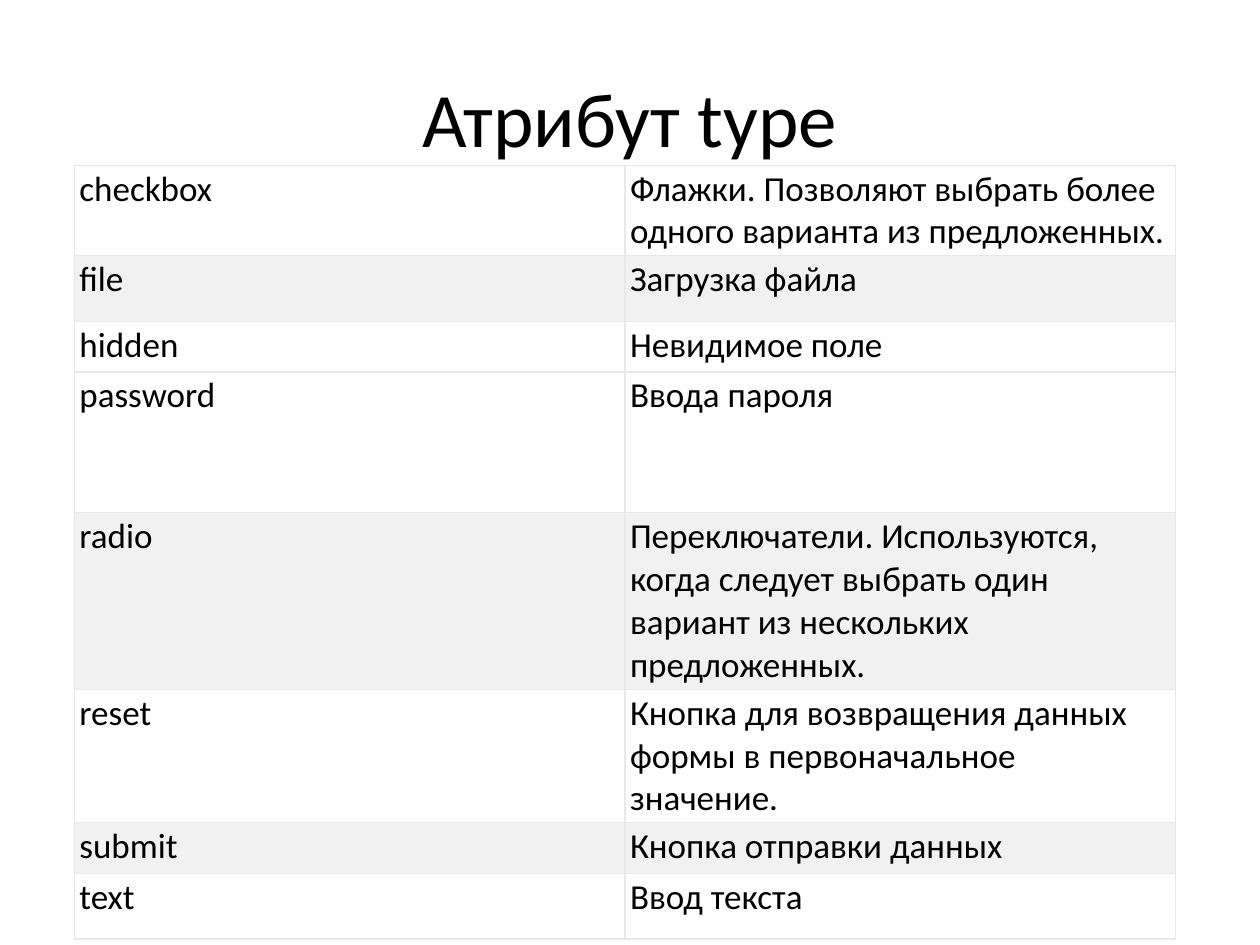
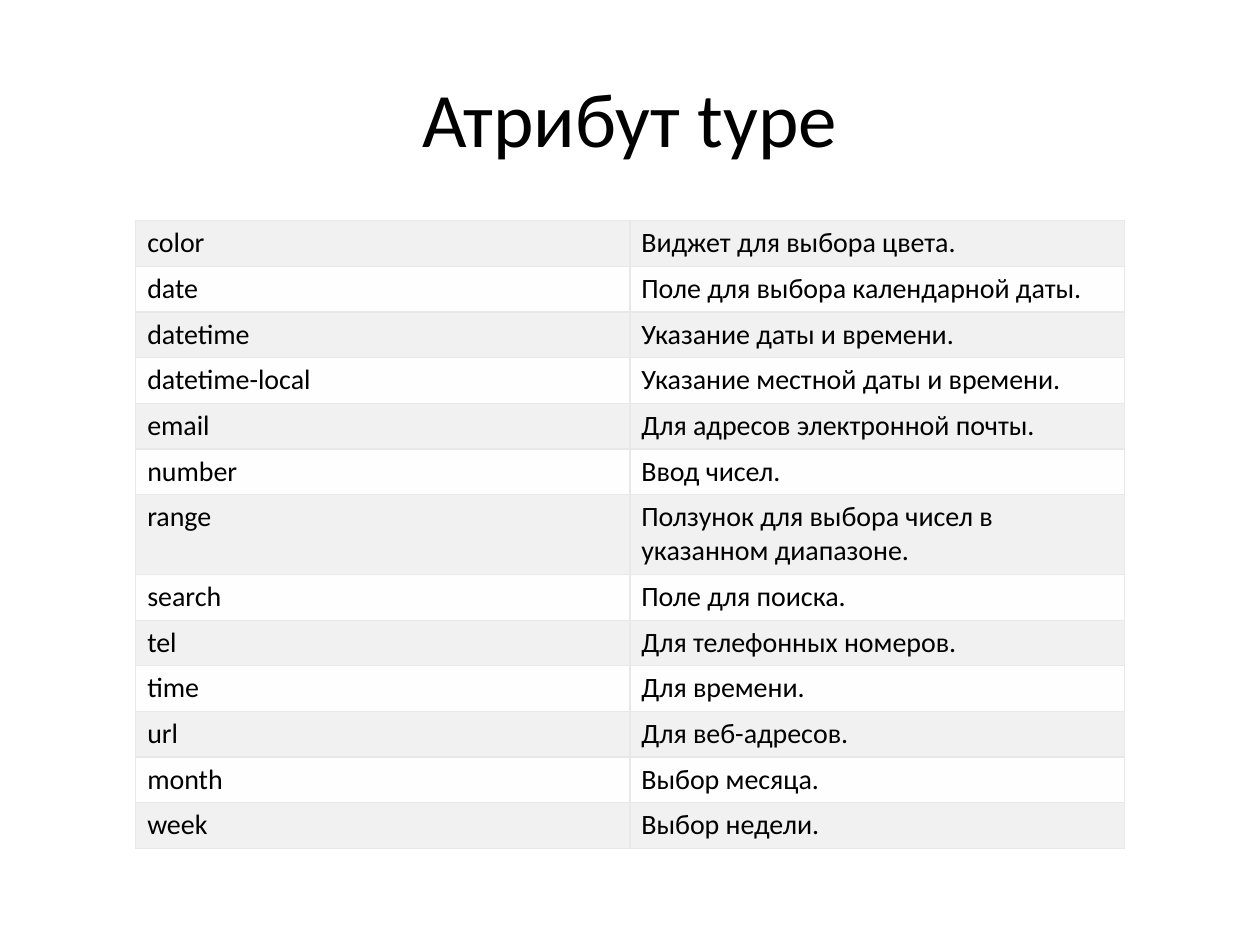
from lxml.etree import SubElement
from pptx import Presentation
from pptx.dml.color import RGBColor
from pptx.enum.text import MSO_ANCHOR, PP_ALIGN
from pptx.oxml.ns import qn
from pptx.util import Cm, Pt

FONT = "Calibri"
INK, EDGE, LIGHT, GREY = "000000", "E9E8E8", "FEFEFE", "F1F1F1"

BASIC = [
    ("checkbox", "Флажки. Позволяют выбрать более одного варианта из предложенных.", 1.32, LIGHT),
    ("file", "Загрузка файла", 1.32, GREY),
    ("hidden", "Невидимое поле", 1.02, LIGHT),
    ("password", "Ввода пароля", 2.84, LIGHT),
    ("radio", "Переключатели. Используются, когда следует выбрать один вариант "
              "из нескольких предложенных.", 1.63, GREY),
    ("reset", "Кнопка для возвращения данных формы в первоначальное значение.", 1.63, LIGHT),
    ("submit", "Кнопка отправки данных", 1.02, GREY),
    ("text", "Ввод текста", 1.32, LIGHT),
]

MODERN = [
    ("color", "Виджет для выбора цвета."),
    ("date", "Поле для выбора календарной даты."),
    ("datetime", "Указание даты и времени."),
    ("datetime-local", "Указание местной даты и времени."),
    ("email", "Для адресов электронной почты."),
    ("number", "Ввод чисел."),
    ("range", "Ползунок для выбора чисел в указанном диапазоне."),
    ("search", "Поле для поиска."),
    ("tel", "Для телефонных номеров."),
    ("time", "Для времени."),
    ("url", "Для веб-адресов."),
    ("month", "Выбор месяца."),
    ("week", "Выбор недели."),
]


def paint(target, color):
    target.solid()
    target.fore_color.rgb = RGBColor.from_string(color)


class Deck:
    def __init__(self):
        self.show = Presentation()
        self.show.slide_width, self.show.slide_height = Cm(25.4), Cm(19.05)
        self.slide = None

    def page(self, text):
        self.slide = self.show.slides.add_slide(self.show.slide_layouts[5])
        paint(self.slide.background.fill, "FFFFFF")
        title = self.slide.shapes.title
        title.left, title.top, title.width, title.height = Cm(1.27), Cm(0.76), Cm(22.86), Cm(3.18)
        title.text_frame.text = text
        title.text_frame.vertical_anchor = MSO_ANCHOR.MIDDLE
        self.style(title.text_frame, 44, PP_ALIGN.CENTER)

    def style(self, frame, size, align):
        for para in frame.paragraphs:
            para.alignment = align
            para.font.name = FONT
            para.font.size = Pt(size)
            para.font.color.rgb = RGBColor.from_string(INK)

    def table(self, rows, left, top, width, size, pad):
        high = sum(row[2] for row in rows)
        frame = self.slide.shapes.add_table(len(rows), 2, Cm(left), Cm(top), Cm(width), Cm(high))
        grid = frame.table
        grid.first_row = grid.horz_banding = False
        for line, (name, note, height, color) in zip(grid.rows, rows):
            line.height = Cm(height)
            for cell, text in zip(line.cells, (name, note)):
                self.cell(cell, text, size, pad, color)

    def cell(self, cell, text, size, pad, color):
        cell.text = text
        cell.margin_left = cell.margin_right = Cm(pad[0])
        cell.margin_top = cell.margin_bottom = Cm(pad[1])
        self.style(cell.text_frame, size, PP_ALIGN.LEFT)
        props = cell._tc.get_or_add_tcPr()
        for side in "LRTB":
            line = SubElement(props, qn(f"a:ln{side}"), w=str(Pt(0.75)))
            SubElement(SubElement(line, qn("a:solidFill")), qn("a:srgbClr"), val=EDGE)
        paint(cell.fill, color)


def main():
    deck = Deck()
    title = "Атрибут type"
    deck.page(title)
    deck.table(BASIC, 1.5, 3.33, 22.2, 20, (0.1, 0.05))
    deck.page(title)
    rows = [(name, note, 1.61 if name == "range" else 0.92, LIGHT if i % 2 else GREY)
            for i, (name, note) in enumerate(MODERN)]
    deck.table(rows, 2.74, 4.45, 19.92, 16, (0.23, 0.11))
    deck.show.save("out.pptx")


if __name__ == "__main__":
    main()
